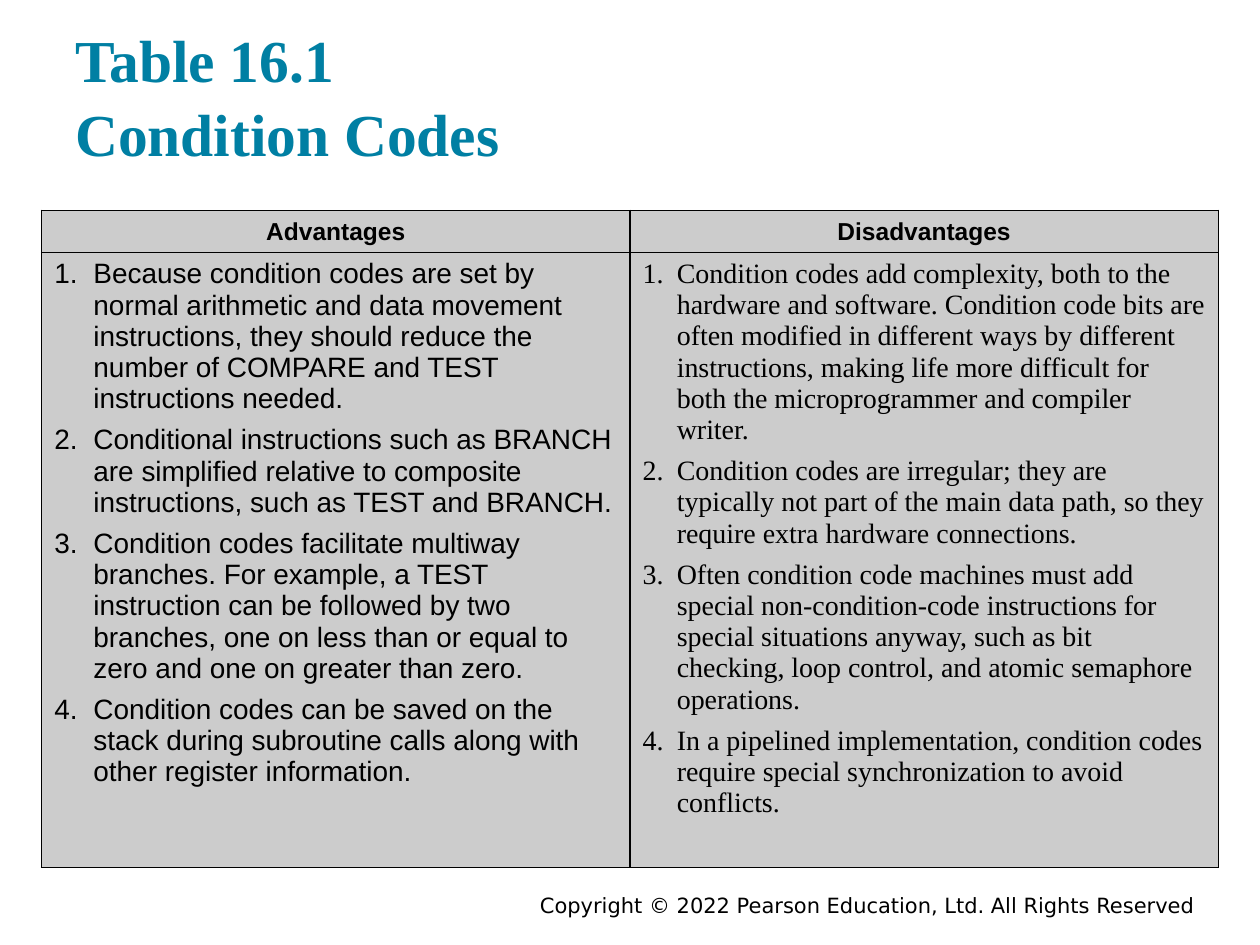
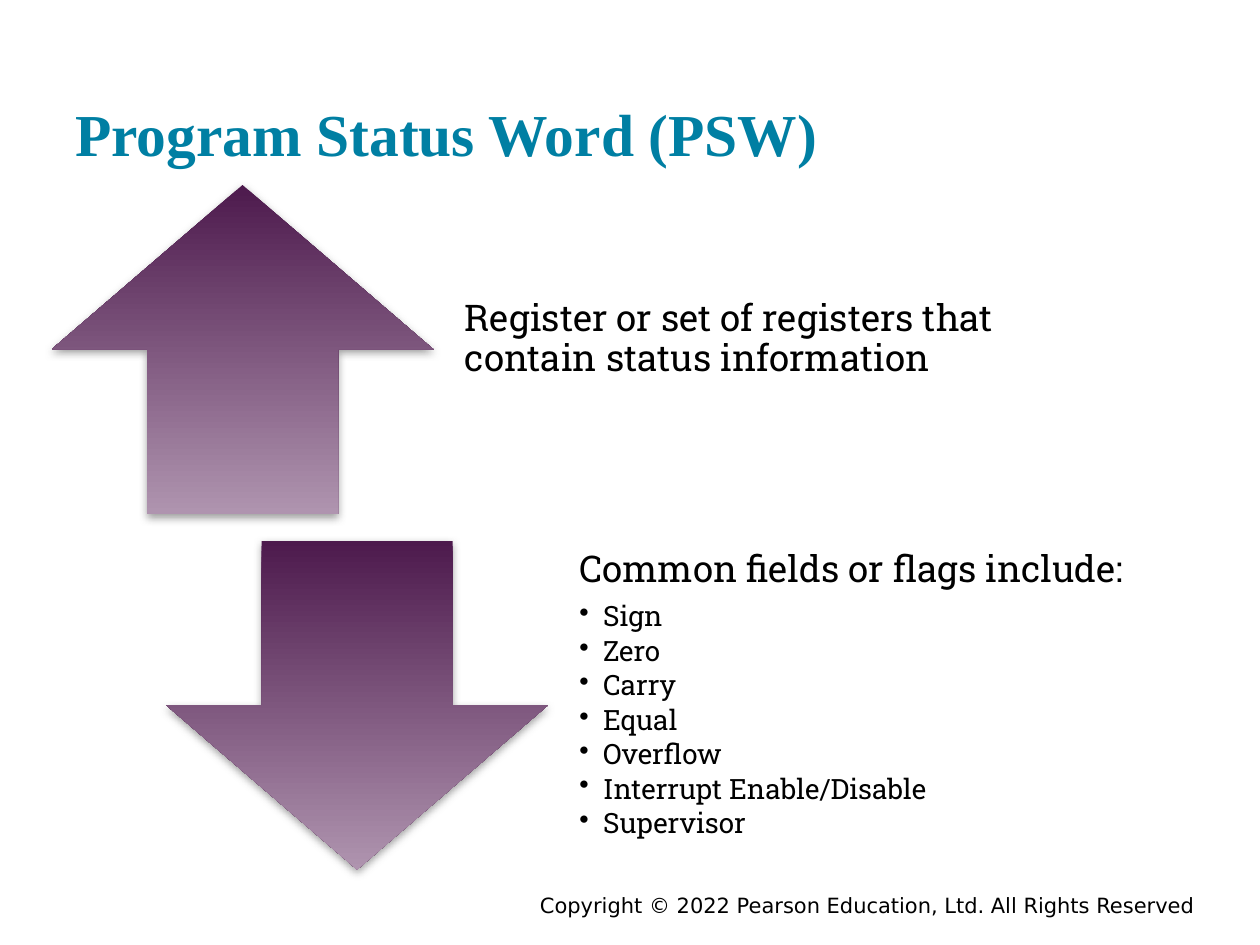
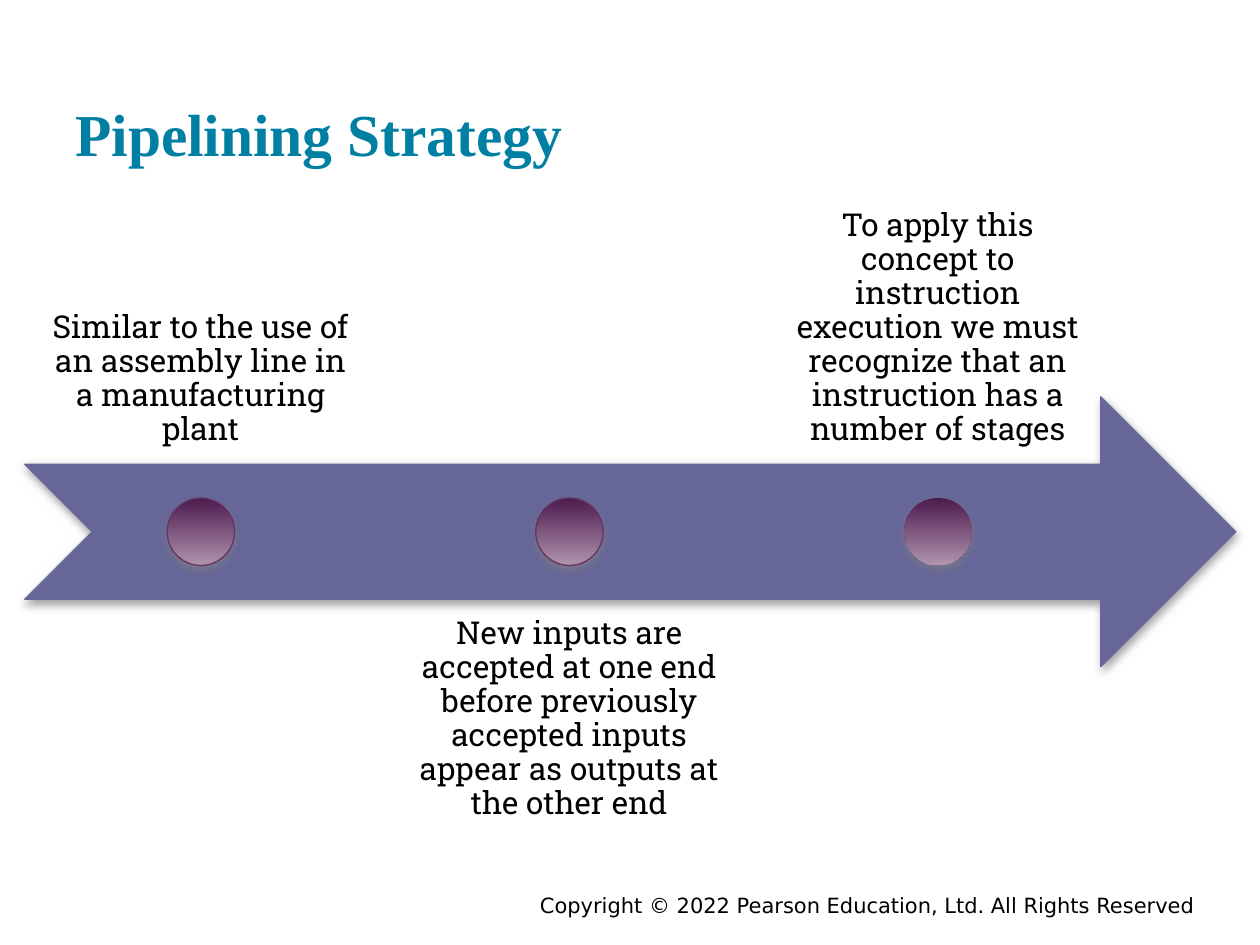
from lxml.etree import SubElement
from pptx import Presentation
from pptx.dml.color import RGBColor
from pptx.enum.shapes import MSO_SHAPE as Preset
from pptx.enum.text import MSO_ANCHOR as Anchor, PP_ALIGN as Align
from pptx.oxml import parse_xml
from pptx.oxml.ns import nsdecls, qn
from pptx.util import Cm, Pt

TEAL = RGBColor(0x00, 0x7F, 0xA3)
BLACK = RGBColor(0x00, 0x00, 0x00)
GREY = RGBColor(0xCC, 0xCC, 0xCC)
PLUM = RGBColor(0x66, 0x33, 0x66)
DARK_PLUM = RGBColor(0x4D, 0x1A, 0x4D)
LIGHT_PLUM = RGBColor(0xAF, 0x94, 0xAF)
SLATE = RGBColor(0x66, 0x66, 0x99)

TITLE = {"font": {"name": "Times New Roman", "size": Pt(34), "bold": True},
         "color": TEAL, "paragraph": {"line_spacing": 1.05}}
FOOTER = {"font": {"name": "DejaVu Sans", "size": Pt(12)},
          "paragraph": {"alignment": Align.RIGHT}}
HEADER = {"font": {"name": "Arial", "size": Pt(14), "bold": True},
          "paragraph": {"alignment": Align.CENTER}}
STATEMENT = {"font": {"name": "Roboto Slab", "size": Pt(21)},
             "paragraph": {"line_spacing": 0.9, "space_after": Pt(7.35)}}
FLAG = {"font": {"name": "Roboto Slab", "size": Pt(16)},
        "paragraph": {"line_spacing": 0.9, "space_after": Pt(2.4)},
        "indent": Cm(0.48), "bullet": ("a:buChar", {"char": "•"})}
STAGE = {"font": {"name": "Roboto Slab", "size": Pt(18)},
         "paragraph": {"line_spacing": 0.9, "alignment": Align.CENTER}}

TITLES = ["Table 16.1\vCondition Codes", "Program Status Word (PSW)",
          "Pipelining Strategy"]
COPYRIGHT = "Copyright © 2022 Pearson Education, Ltd. All Rights Reserved"


def write(frame, frame_format, lines):
    """Fill a text frame with one paragraph per (text, style) pair."""
    for name, value in frame_format.items():
        setattr(frame, name, value)
    for index, (text, style) in enumerate(lines):
        paragraph = frame.add_paragraph() if index else frame.paragraphs[0]
        paragraph.text = text
        if "bullet" in style:
            properties = paragraph._p.get_or_add_pPr()
            properties.set("marL", str(style["indent"]))
            properties.set("indent", str(-style["indent"]))
            tag, attributes = style["bullet"]
            SubElement(properties, qn(tag), attributes)
        for name, value in style.get("paragraph", {}).items():
            setattr(paragraph, name, value)
        if index and "gap" in style:
            paragraph.space_before = style["gap"]
        for run in paragraph.runs:
            for name, value in style["font"].items():
                setattr(run.font, name, value)
            run.font.color.rgb = style.get("color", BLACK)


def add_shaded_shape(slide, preset, box, fill=None, line=None):
    """Add a shape with a soft shadow; without a fill colour it gets the plum gradient."""
    shape = slide.shapes.add_shape(preset, *map(Cm, box))
    if fill is None:
        shape.fill.gradient()
        shape.fill.gradient_angle = 270
        for stop, color in zip(shape.fill.gradient_stops, (DARK_PLUM, LIGHT_PLUM)):
            stop.color.rgb = color
    else:
        shape.fill.solid()
        shape.fill.fore_color.rgb = fill
    if line is None:
        shape.line.fill.background()
    else:
        shape.line.color.rgb = line
        shape.line.width = Pt(0.75)
    shape.shadow.inherit = False
    effects = shape._element.spPr.find(qn("a:effectLst"))
    effects.append(parse_xml(
        f'<a:outerShdw {nsdecls("a")} blurRad="{Pt(5)}" dist="{Pt(2)}" dir="5400000" '
        'rotWithShape="0"><a:srgbClr val="808080"><a:alpha val="75000"/></a:srgbClr>'
        '</a:outerShdw>'))


presentation = Presentation()
presentation.slide_width = Cm(25.4)
presentation.slide_height = Cm(19.05)

# Titles and footers
slides = []
for title in TITLES:
    slide = presentation.slides.add_slide(presentation.slide_layouts[6])
    slides.append(slide)
    footer_box = slide.shapes.add_textbox(Cm(4.45), Cm(17.86), Cm(19.89), Cm(0.56))
    write(footer_box.text_frame, {"word_wrap": True}, [(COPYRIGHT, FOOTER)])
    title_box = slide.shapes.add_textbox(Cm(1.27), Cm(0.48), Cm(22.86), Cm(3.05))
    write(title_box.text_frame,
          {"word_wrap": True, "vertical_anchor": Anchor.BOTTOM}, [(title, TITLE)])
table_slide, status_slide, pipeline_slide = slides

# Condition codes
columns = [
    ("Advantages", "Arial", Cm(0.79), [
        "Because condition codes are set by normal arithmetic and data movement "
        "instructions, they should reduce the number of COMPARE and TEST "
        "instructions needed.",
        "Conditional instructions such as BRANCH are simplified relative to "
        "composite instructions, such as TEST and BRANCH.",
        "Condition codes facilitate multiway branches. For example, a TEST "
        "instruction can be followed by two branches, one on less than or equal "
        "to zero and one on greater than zero.",
        "Condition codes can be saved on the stack during subroutine calls along "
        "with other register information.",
    ]),
    ("Disadvantages", "Times New Roman", Cm(0.69), [
        "Condition codes add complexity, both to the hardware and software. "
        "Condition code bits are often modified in different ways by different "
        "instructions, making life more difficult for both the microprogrammer "
        "and compiler writer.",
        "Condition codes are irregular; they are typically not part of the main "
        "data path, so they require extra hardware connections.",
        "Often condition code machines must add special non-condition-code "
        "instructions for special situations anyway, such as bit checking, loop "
        "control, and atomic semaphore operations.",
        "In a pipelined implementation, condition codes require special "
        "synchronization to avoid conflicts.",
    ]),
]
table = table_slide.shapes.add_table(
    2, 2, Cm(0.84), Cm(4.24), Cm(23.72), Cm(12.75)).table
table.first_row = table.horz_banding = False
table.rows[0].height = Cm(0.81)
table.rows[1].height = Cm(11.94)
for index, (heading, font_name, indent, points) in enumerate(columns):
    point_style = {"font": {"name": font_name, "size": Pt(16), "bold": False},
                   "gap": Pt(6), "indent": indent,
                   "bullet": ("a:buAutoNum", {"type": "arabicPeriod"})}
    header_cell, body_cell = table.cell(0, index), table.cell(1, index)
    header_cell.vertical_anchor = Anchor.BOTTOM
    write(header_cell.text_frame, {}, [(heading, HEADER)])
    write(body_cell.text_frame, {}, [(point, point_style) for point in points])
    for cell in (header_cell, body_cell):
        cell_properties = cell._tc.get_or_add_tcPr()
        for side in ("lnL", "lnR", "lnT", "lnB"):
            cell_properties.append(parse_xml(
                f'<a:{side} {nsdecls("a")} w="{Pt(1)}"><a:solidFill>'
                f'<a:srgbClr val="{BLACK}"/></a:solidFill></a:{side}>'))
        cell.fill.solid()
        cell.fill.fore_color.rgb = GREY

# Program status word
flags = ["Sign", "Zero", "Carry", "Equal", "Overflow",
         "Interrupt Enable/Disable", "Supervisor"]
status_rows = [
    (Preset.UP_ARROW, 1.04, 3.73,
     [("Register or set of registers that contain status information", STATEMENT)]),
    (Preset.DOWN_ARROW, 3.35, 10.9,
     [("Common fields or flags include:", STATEMENT)] + [(flag, FLAG) for flag in flags]),
]
status_format = {"word_wrap": True, "vertical_anchor": Anchor.MIDDLE,
                 "margin_left": Cm(0.41), "margin_right": Cm(0.41),
                 "margin_top": 0, "margin_bottom": Cm(0.41)}
for preset, left, top, lines in status_rows:
    add_shaded_shape(status_slide, preset, (left, top, 7.7, 6.63))
    status_box = status_slide.shapes.add_textbox(
        Cm(left + 7.92), Cm(top), Cm(13.08), Cm(6.63))
    write(status_box.text_frame, status_format, lines)

# Pipelining
add_shaded_shape(pipeline_slide, Preset.NOTCHED_RIGHT_ARROW,
                 (0.5, 8, 24.41, 5.44), SLATE, SLATE)
stages = [
    ("Similar to the use of an assembly line in a manufacturing plant",
     3.94, Anchor.BOTTOM, PLUM),
    ("New inputs are accepted at one end before previously accepted inputs "
     "appear as outputs at the other end", 12.09, Anchor.TOP, PLUM),
    ("To apply this concept to instruction execution we must recognize that an "
     "instruction has a number of stages", 3.94, Anchor.BOTTOM, None),
]
margins = dict.fromkeys(
    ("margin_left", "margin_right", "margin_top", "margin_bottom"), Cm(0.36))
for index, (text, top, anchor, outline) in enumerate(stages):
    left = 0.5 + 7.43 * index
    stage_box = pipeline_slide.shapes.add_textbox(Cm(left), Cm(top), Cm(7.09), Cm(5.44))
    write(stage_box.text_frame,
          {"word_wrap": True, "vertical_anchor": anchor, **margins}, [(text, STAGE)])
    add_shaded_shape(pipeline_slide, Preset.OVAL,
                     (left + 2.87, 10.04, 1.36, 1.36), line=outline)

presentation.save("out.pptx")
